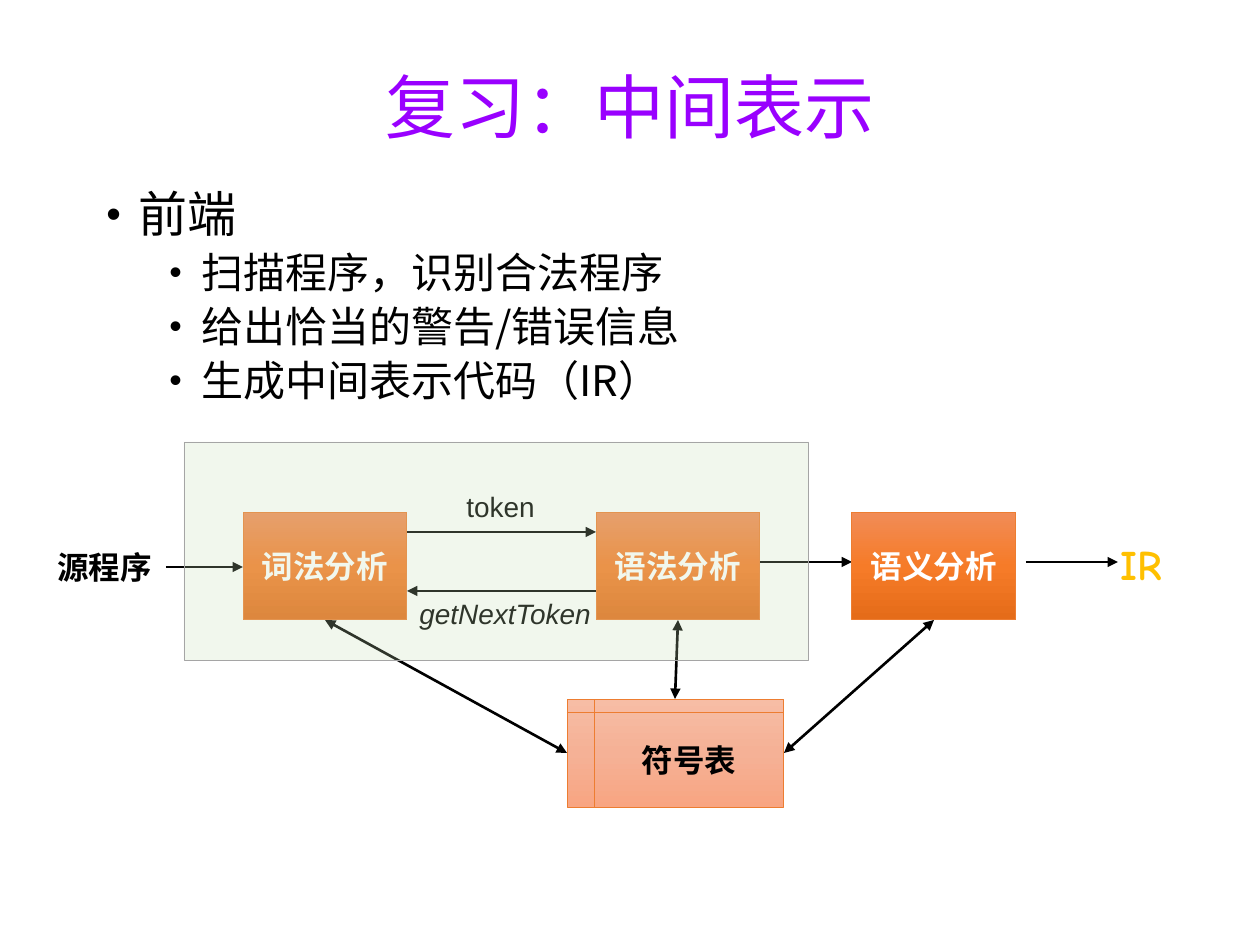
"""Builds a slide that reviews the compiler front end and its intermediate representation."""
from dataclasses import dataclass

from lxml import etree
from pptx import Presentation
from pptx.dml.color import RGBColor
from pptx.enum.shapes import MSO_CONNECTOR, MSO_SHAPE
from pptx.enum.text import MSO_ANCHOR, PP_ALIGN
from pptx.oxml.ns import qn
from pptx.util import Emu, Pt

PX_PER_INCH = 126
CJK = "Noto Sans CJK SC"
BLACK = RGBColor(0x00, 0x00, 0x00)
WHITE = RGBColor(0xFF, 0xFF, 0xFF)
PURPLE = RGBColor(0x99, 0x00, 0xFF)
GOLD = RGBColor(0xFF, 0xC0, 0x00)
ORANGE = RGBColor(0xED, 0x7D, 0x31)
GRAY = RGBColor(0xA5, 0xA5, 0xA5)
PALE_GREEN = RGBColor(0xC5, 0xE0, 0xB4)
PHASE_GRADIENT = (RGBColor(0xF1, 0x8C, 0x57), RGBColor(0xF6, 0x7B, 0x28), RGBColor(0xE5, 0x6C, 0x19))
TABLE_GRADIENT = (RGBColor(0xF7, 0xBD, 0xA5), RGBColor(0xF5, 0xB1, 0x96), RGBColor(0xF8, 0xA5, 0x82))
PHASE_TOP, PHASE_WIDTH, PHASE_HEIGHT = 512, 164, 108
PHASE_BOTTOM = PHASE_TOP + PHASE_HEIGHT
TABLE_LEFT, TABLE_TOP, TABLE_WIDTH = 567, 699, 217
TABLE_MIDDLE = TABLE_TOP + PHASE_HEIGHT // 2


@dataclass(frozen=True)
class Style:
    size: int
    font: str
    color: RGBColor = BLACK
    bold: bool = False
    italic: bool = False


@dataclass(frozen=True)
class Label:
    text: str
    box: tuple[int, int, int, int]
    style: Style


@dataclass(frozen=True)
class Arrow:
    start: tuple[int, int]
    end: tuple[int, int]
    head: bool = False
    tail: bool = True


@dataclass(frozen=True)
class Block:
    text: str
    box: tuple[int, int, int, int]
    gradient: tuple[RGBColor, ...]
    color: RGBColor
    kind: MSO_SHAPE = MSO_SHAPE.RECTANGLE
    inset: bool = True


@dataclass(frozen=True)
class Bullet:
    text: str
    level: int
    size: int
    indent: int
    before: int


LEXER_X, PARSER_X, SEMANTIC_X = 243, 596, 852
PHASES = (("词法分析", LEXER_X), ("语法分析", PARSER_X), ("语义分析", SEMANTIC_X))
BLOCKS = [
    Block(text, (left, PHASE_TOP, PHASE_WIDTH, PHASE_HEIGHT), PHASE_GRADIENT, WHITE)
    for text, left in PHASES
] + [
    Block("符号表", (TABLE_LEFT, TABLE_TOP, TABLE_WIDTH, PHASE_HEIGHT), TABLE_GRADIENT, BLACK,
          MSO_SHAPE.FLOWCHART_INTERNAL_STORAGE, False),
]
ARROWS = [
    Arrow((166, 567), (LEXER_X, 567)),
    Arrow((LEXER_X + PHASE_WIDTH, 532), (PARSER_X, 532)),
    Arrow((LEXER_X + PHASE_WIDTH, 591), (605, 591), head=True, tail=False),
    Arrow((PARSER_X + PHASE_WIDTH, 562), (SEMANTIC_X, 562)),
    Arrow((1026, 562), (1118, 562)),
] + [
    Arrow((left + PHASE_WIDTH // 2, PHASE_BOTTOM), end, head=True)
    for left, end in (
        (LEXER_X, (TABLE_LEFT, TABLE_MIDDLE)),
        (PARSER_X, (TABLE_LEFT + TABLE_WIDTH // 2, TABLE_TOP)),
        (SEMANTIC_X, (TABLE_LEFT + TABLE_WIDTH, TABLE_MIDDLE)),
    )
]
LABELS = [
    Label("源程序", (45, 542, 121, 50), Style(18, "Arial", bold=True)),
    Label("token", (454, 483, 95, 47), Style(16, "Arial")),
    Label("getNextToken", (407, 590, 198, 47), Style(16, "Arial", italic=True)),
    Label("IR", (1108, 532, 76, 63), Style(24, "Comic Neue", GOLD, bold=True)),
]
BULLETS = [Bullet("前端", 0, 28, 32, 10)] + [
    Bullet(text, 1, 24, 95, 5)
    for text in ("扫描程序，识别合法程序", "给出恰当的警告/错误信息", "生成中间表示代码（IR）")
]


def px(value: int) -> Emu:
    """Turn pixels into EMU."""
    return Emu(round(value * 914400 / PX_PER_INCH))


def write(paragraph, text: str, style: Style) -> None:
    """Add one styled run to a paragraph."""
    run = paragraph.add_run()
    run.text = text
    font = run.font
    font.size, font.name = Pt(style.size), style.font
    font.bold, font.italic = style.bold, style.italic
    font.color.rgb = style.color
    etree.SubElement(run._r.get_or_add_rPr(), qn("a:ea"), typeface=CJK)


def add_text(slide, label: Label, wrap: bool = False):
    """Add a text box holding one paragraph."""
    frame = slide.shapes.add_textbox(*map(px, label.box)).text_frame
    frame.word_wrap = wrap
    write(frame.paragraphs[0], label.text, label.style)
    return frame


def add_title(slide) -> None:
    """Add the centred slide title."""
    frame = add_text(slide, Label("复习：中间表示", (87, 50, 1086, 122), Style(40, CJK, PURPLE)), True)
    frame.vertical_anchor = MSO_ANCHOR.MIDDLE
    frame.paragraphs[0].alignment = PP_ALIGN.CENTER
    frame.paragraphs[0].line_spacing = 0.9


def add_bullets(slide) -> None:
    """Add the bulleted list."""
    frame = slide.shapes.add_textbox(*map(px, (94, 184, 1071, 319))).text_frame
    frame.word_wrap = True
    for index, bullet in enumerate(BULLETS):
        paragraph = frame.add_paragraph() if index else frame.paragraphs[0]
        paragraph.level = bullet.level
        paragraph.line_spacing = 0.9
        paragraph.space_before = Pt(bullet.before)
        props = paragraph._p.get_or_add_pPr()
        props.set("marL", str(px(bullet.indent)))
        props.set("indent", str(px(-32)))
        etree.SubElement(props, qn("a:buSzPct"), val="85000")
        etree.SubElement(props, qn("a:buFont"), typeface="Arial")
        etree.SubElement(props, qn("a:buChar"), char="•")
        write(paragraph, bullet.text, Style(bullet.size, CJK))


def add_arrow(slide, arrow: Arrow) -> None:
    """Add a straight arrow."""
    points = map(px, arrow.start + arrow.end)
    line = slide.shapes.add_connector(MSO_CONNECTOR.STRAIGHT, *points)
    line.line.color.rgb = BLACK
    line.line.width = Pt(1.5)
    outline = line.line._get_or_add_ln()
    for tag, shown in (("a:headEnd", arrow.head), ("a:tailEnd", arrow.tail)):
        if shown:
            etree.SubElement(outline, qn(tag), type="triangle")
    etree.SubElement(line._element.spPr, qn("a:effectLst"))


def add_shape(slide, kind: MSO_SHAPE, box: tuple[int, int, int, int], outline: RGBColor):
    """Add a thinly outlined shape without shadow."""
    shape = slide.shapes.add_shape(kind, *map(px, box))
    shape.shadow.inherit = False
    shape.line.color.rgb = outline
    shape.line.width = Pt(0.5)
    return shape


def add_block(slide, block: Block) -> None:
    """Add a gradient block with a bold caption."""
    shape = add_shape(slide, block.kind, block.box, ORANGE)
    shape.fill.gradient()
    shape.fill.gradient_angle = 270
    stops = shape._element.spPr.find(".//" + qn("a:gsLst"))
    stops[:] = []
    for index, color in enumerate(block.gradient):
        stop = etree.SubElement(stops, qn("a:gs"), pos=str(index * 50000))
        etree.SubElement(stop, qn("a:srgbClr"), val=str(color))
    frame = shape.text_frame
    if not block.inset:
        frame.margin_left = frame.margin_right = frame.margin_top = frame.margin_bottom = 0
    frame.vertical_anchor = MSO_ANCHOR.MIDDLE
    frame.paragraphs[0].alignment = PP_ALIGN.CENTER
    write(frame.paragraphs[0], block.text, Style(18, "Calibri", block.color, bold=True))


def add_panel(slide) -> None:
    """Add the translucent panel over the first two phases."""
    panel = add_shape(slide, MSO_SHAPE.RECTANGLE, (184, 442, 625, 218), GRAY)
    panel.fill.solid()
    panel.fill.fore_color.rgb = PALE_GREEN
    color = panel._element.spPr.find(qn("a:solidFill"))[0]
    etree.SubElement(color, qn("a:alpha"), val="24000")


def main() -> None:
    """Build and save the slide."""
    deck = Presentation()
    deck.slide_width, deck.slide_height = px(1260), px(945)
    slide = deck.slides.add_slide(deck.slide_layouts[6])
    add_title(slide)
    add_bullets(slide)
    for draw, items in ((add_arrow, ARROWS), (add_text, LABELS), (add_block, BLOCKS)):
        for item in items:
            draw(slide, item)
    add_panel(slide)
    deck.save("out.pptx")


main()
